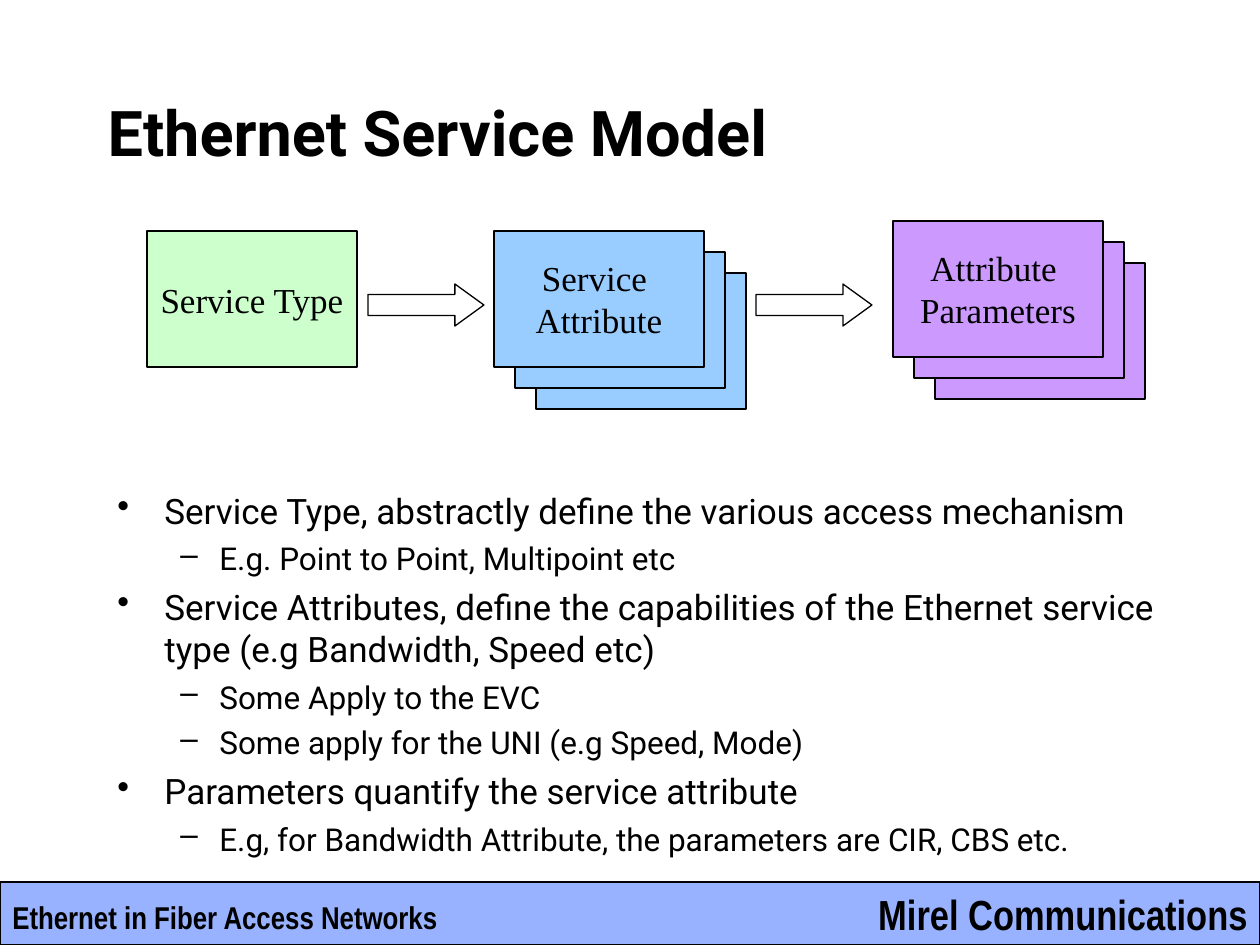
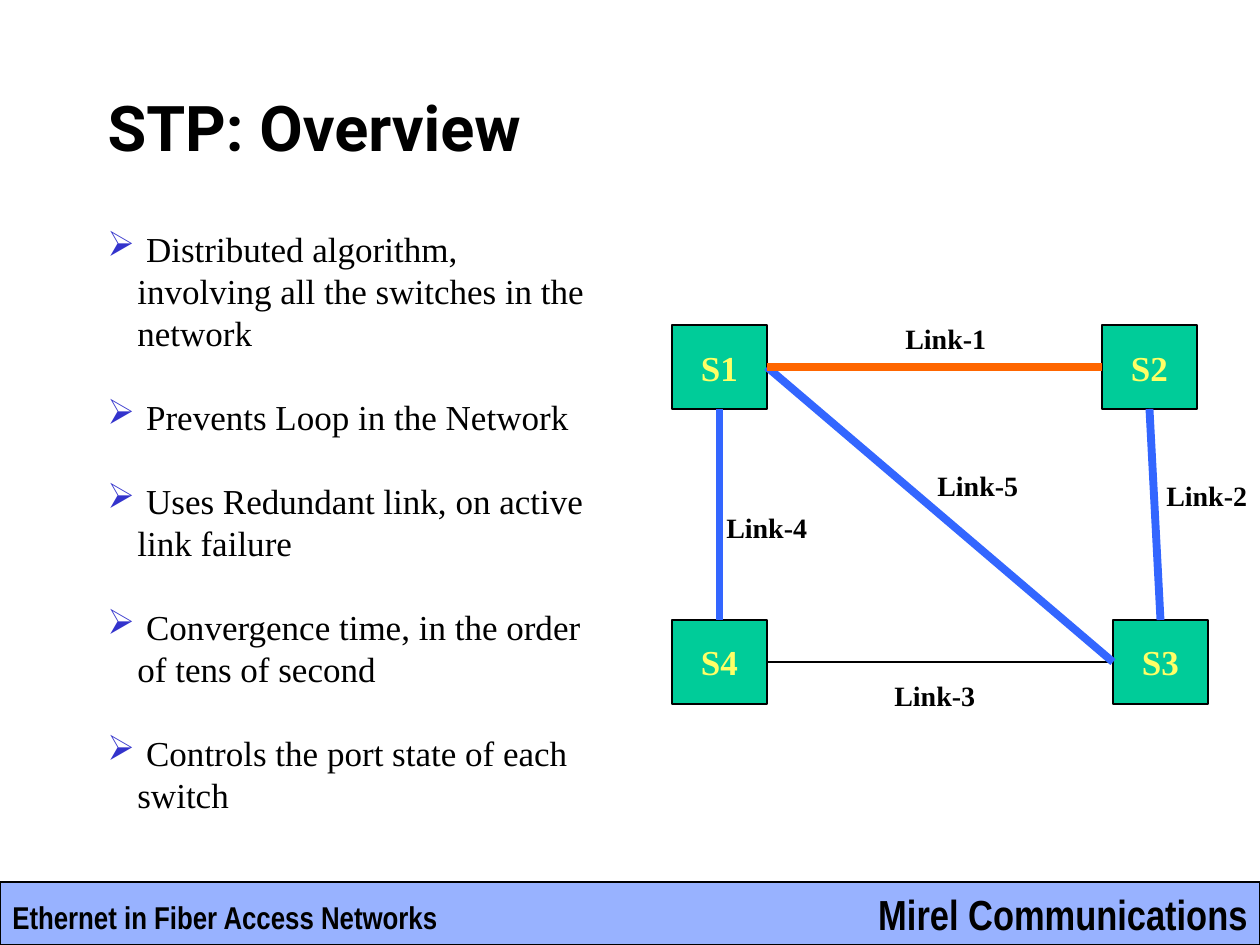
import dataclasses

import lxml.etree
import pptx
import pptx.dml.color
import pptx.enum.shapes
import pptx.enum.text
import pptx.oxml.ns
import pptx.util

PX = 914400 / 126
SHAPE = pptx.enum.shapes.MSO_SHAPE
ALIGN = pptx.enum.text.PP_ALIGN
ANCHOR = pptx.enum.text.MSO_ANCHOR
qn = pptx.oxml.ns.qn


@dataclasses.dataclass(frozen=True)
class Theme:
    black: str = "000000"
    band: str = "3366FF"
    type_green: str = "CCFFCC"
    attribute_blue: str = "99CCFF"
    parameter_purple: str = "CC99FF"
    switch_green: str = "00CC99"
    switch_text: str = "FFFF66"
    backup_link: str = "3366FF"
    main_link: str = "FF6600"
    marker: str = "3333CC"
    heading_font: str = "Roboto"
    serif_font: str = "Times New Roman"
    footer_font: str = "Arial Narrow"
    title_size: int = 36
    company_size: int = 24
    body_size: int = 20
    detail_size: int = 18
    label_size: int = 16
    thin: float = 0.75
    thick: float = 4.5


THEME = Theme()


def px(length):
    return pptx.util.Emu(round(length * PX))


def rgb(colour):
    return pptx.dml.color.RGBColor.from_string(colour)


def set_values(target, values):
    for name, value in values.items():
        setattr(target, name, value)


def style(font, size, bold=False, colour=THEME.black):
    return {"name": font, "size": pptx.util.Pt(size), "bold": bold, "colour": colour}


def write(para, text, look):
    span = para.add_run()
    span.text = text
    values = dict(look)
    span.font.color.rgb = rgb(values.pop("colour"))
    set_values(span.font, values)


def set_frame(frame, wrap=True, anchor=ANCHOR.TOP):
    set_values(frame, {
        "auto_size": pptx.enum.text.MSO_AUTO_SIZE.NONE,
        "word_wrap": wrap,
        "vertical_anchor": anchor,
        "margin_left": pptx.util.Inches(0.1),
        "margin_right": pptx.util.Inches(0.1),
        "margin_top": pptx.util.Inches(0.05),
        "margin_bottom": pptx.util.Inches(0.05),
    })


def write_lines(frame, lines, look, align):
    for index, line in enumerate(lines):
        para = frame.add_paragraph() if index else frame.paragraphs[0]
        para.alignment = align
        write(para, line, look)


def add_text(slide, area, text, look, align=ALIGN.LEFT):
    box = slide.shapes.add_textbox(*map(px, area))
    set_frame(box.text_frame, wrap=False)
    write_lines(box.text_frame, [text], look, align)


def add_block(slide, kind, area, colour=None, lines=(), look=None):
    block = slide.shapes.add_shape(kind, *map(px, area))
    block.shadow.inherit = False
    if colour:
        block.fill.solid()
        block.fill.fore_color.rgb = rgb(colour)
    else:
        block.fill.background()
    block.line.color.rgb = rgb(THEME.black)
    block.line.width = pptx.util.Pt(THEME.thin)
    set_frame(block.text_frame, wrap=False, anchor=ANCHOR.MIDDLE)
    write_lines(block.text_frame, lines, look, ALIGN.CENTER)
    return block


def add_stack(slide, left, top, colour, lines, copies=1):
    """Cards stepping down to the right, with the text on the front one."""
    step = 21
    look = style(THEME.serif_font, THEME.body_size)
    for depth in reversed(range(copies)):
        area = (left + depth * step, top + depth * step, 210, 136)
        add_block(slide, SHAPE.RECTANGLE, area, colour, () if depth else lines, look)


def add_arrow(slide, left):
    arrow = add_block(slide, SHAPE.RIGHT_ARROW, (left, 284, 116, 42))
    arrow.adjustments[1] = 0.69


def set_bullet(para, mark, colour, margin, hang):
    properties = para._p.get_or_add_pPr()
    properties.set("marL", str(px(margin)))
    properties.set("indent", str(-px(hang)))
    tint = lxml.etree.SubElement(properties, qn("a:buClr"))
    lxml.etree.SubElement(tint, qn("a:srgbClr"), val=colour)
    lxml.etree.SubElement(properties, qn("a:buChar"), char=mark)


def add_bullets(slide, area, items, levels):
    """Items are (level, text); levels hold mark, colour, margin, hang, gap, look."""
    box = slide.shapes.add_textbox(*map(px, area))
    set_frame(box.text_frame)
    for index, (level, text) in enumerate(items):
        para = box.text_frame.add_paragraph() if index else box.text_frame.paragraphs[0]
        mark, colour, margin, hang, gap, look = levels[level]
        para.level = level
        set_bullet(para, mark, colour, margin, hang)
        if index:
            para.space_before = pptx.util.Pt(gap)
        write(para, text, look)


def add_link(slide, start, start_site, end, end_site, colour, width):
    link = slide.shapes.add_connector(pptx.enum.shapes.MSO_CONNECTOR.STRAIGHT, 0, 0, 0, 0)
    link.begin_connect(start, start_site)
    link.end_connect(end, end_site)
    link.line.color.rgb = rgb(colour)
    link.line.width = pptx.util.Pt(width)
    lxml.etree.SubElement(link._element.spPr, qn("a:effectLst"))


def add_footer(slide):
    band = add_block(slide, SHAPE.RECTANGLE, (0, 882, 1260, 63), THEME.band)
    tint = band._element.spPr.find(qn("a:solidFill")).find(qn("a:srgbClr"))
    lxml.etree.SubElement(tint, qn("a:alpha"), val="50000")
    add_text(slide, (848, 882, 412, 63), "Mirel Communications",
             style(THEME.footer_font, THEME.company_size, True), ALIGN.RIGHT)
    add_text(slide, (0, 892, 451, 50), "Ethernet in Fiber Access Networks",
             style(THEME.footer_font, THEME.detail_size, True))


def add_slide(deck, heading, title_height):
    slide = deck.slides.add_slide(deck.slide_layouts[5])
    title = slide.shapes.title
    set_values(title, {"left": px(95), "top": px(84),
                       "width": px(1071), "height": px(title_height)})
    set_frame(title.text_frame, anchor=ANCHOR.MIDDLE)
    write_lines(title.text_frame, [heading],
                style(THEME.heading_font, THEME.title_size, True), ALIGN.LEFT)
    add_footer(slide)
    return slide


def build_service_model(deck):
    slide = add_slide(deck, "Ethernet Service Model", 95)

    # Chain from type to attributes to parameters
    add_stack(slide, 147, 231, THEME.type_green, ["Service Type"])
    add_stack(slide, 494, 231, THEME.attribute_blue, ["Service ", "Attribute"], 3)
    add_stack(slide, 893, 221, THEME.parameter_purple, ["Attribute ", "Parameters"], 3)
    for left in (368, 756):
        add_arrow(slide, left)

    # Explanation
    levels = [
        ("•", THEME.black, 47, 47, 5, style(THEME.heading_font, THEME.body_size)),
        ("–", THEME.black, 102, 39, 4.5, style(THEME.heading_font, THEME.detail_size)),
    ]
    add_bullets(slide, (105, 483, 1071, 368), [
        (0, "Service Type, abstractly define the various access mechanism"),
        (1, "E.g. Point to Point, Multipoint etc"),
        (0, "Service Attributes, define the capabilities of the Ethernet service "
            "type (e.g Bandwidth, Speed etc)"),
        (1, "Some Apply to the EVC"),
        (1, "Some apply for the UNI (e.g Speed, Mode)"),
        (0, "Parameters quantify the service attribute"),
        (1, "E.g, for Bandwidth Attribute, the parameters are CIR, CBS etc."),
    ], levels)


def build_stp_overview(deck):
    slide = add_slide(deck, "STP: Overview", 84)

    # Switches
    switch_look = style(THEME.serif_font, THEME.body_size, True, THEME.switch_text)
    corners = {"S1": (672, 325), "S2": (1102, 325), "S4": (672, 620), "S3": (1113, 620)}
    switches = {
        name: add_block(slide, SHAPE.RECTANGLE, (*corner, 95, 84),
                        THEME.switch_green, [name], switch_look)
        for name, corner in corners.items()
    }

    # Links between connection sites
    top, left, bottom, right = range(4)
    for start, start_site, end, end_site, colour, width in (
        ("S4", right, "S3", left, THEME.black, THEME.thin),
        ("S1", bottom, "S4", top, THEME.backup_link, THEME.thick),
        ("S1", right, "S3", left, THEME.backup_link, THEME.thick),
        ("S2", bottom, "S3", top, THEME.backup_link, THEME.thick),
        ("S2", left, "S1", right, THEME.main_link, THEME.thick),
    ):
        add_link(slide, switches[start], start_site, switches[end], end_site, colour, width)

    # Link names
    label_look = style(THEME.serif_font, THEME.label_size, True)
    label_corners = ((893, 315), (1154, 472), (882, 672), (714, 504), (925, 462))
    for number, corner in enumerate(label_corners, 1):
        add_text(slide, (*corner, 106, 47), f"Link-{number}", label_look)

    # Properties of the protocol
    look = style(THEME.serif_font, THEME.body_size)
    add_bullets(slide, (95, 221, 517, 559), [
        (0, " Distributed algorithm, involving all the switches in the network"),
        (0, " Prevents Loop in the Network"),
        (0, " Uses Redundant link, on active link failure"),
        (0, " Convergence time, in the order of tens of second"),
        (0, " Controls the port state of each switch"),
    ], [("➢", THEME.marker, 30, 30, 24, look)])


def main():
    deck = pptx.Presentation()
    set_values(deck, {"slide_width": px(1260), "slide_height": px(945)})
    build_service_model(deck)
    build_stp_overview(deck)
    deck.save("out.pptx")


if __name__ == "__main__":
    main()
